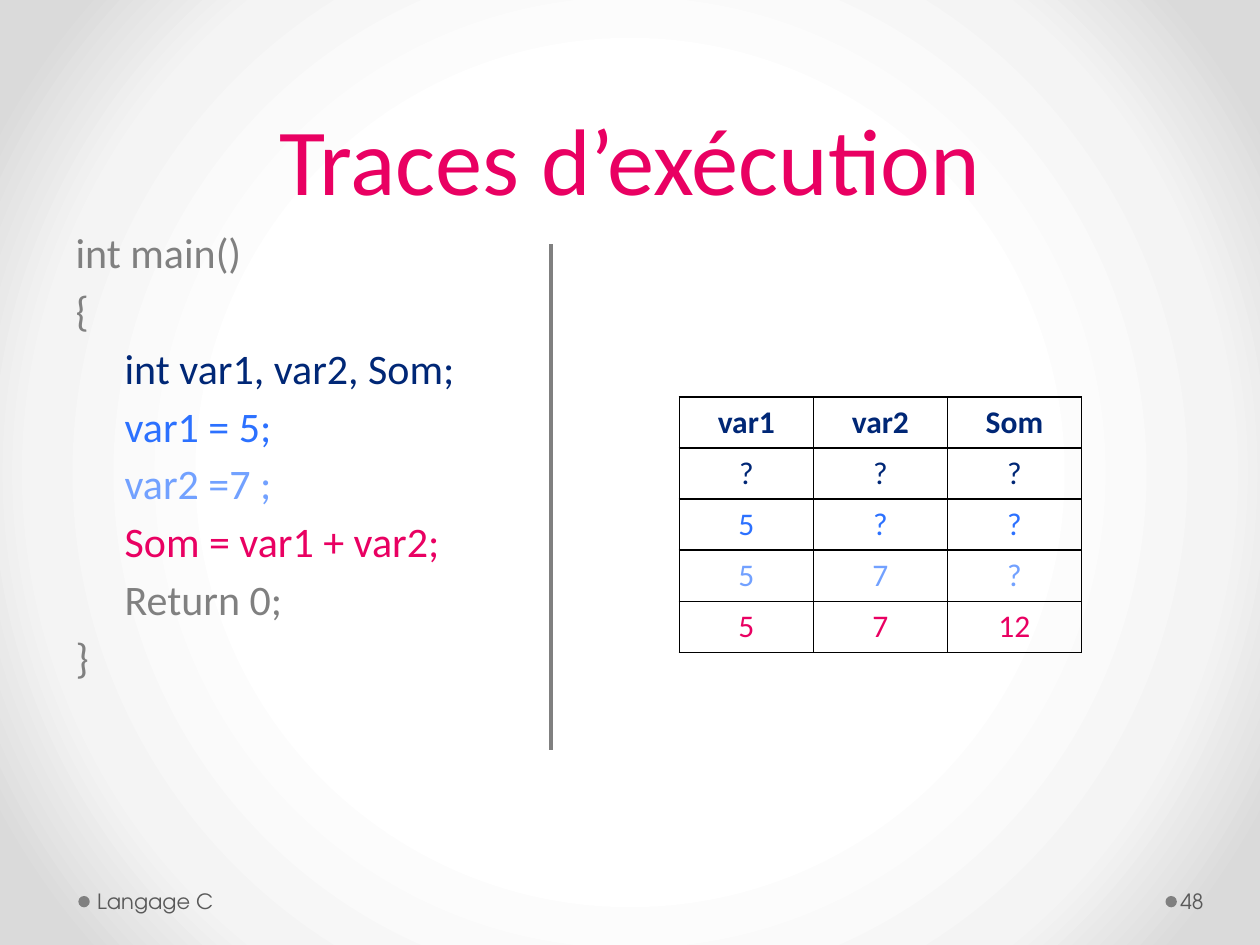
from pptx import Presentation
from pptx.dml.color import RGBColor
from pptx.enum.shapes import MSO_CONNECTOR, MSO_SHAPE
from pptx.enum.text import MSO_ANCHOR, PP_ALIGN
from pptx.oxml.ns import qn
from pptx.oxml.xmlchemy import OxmlElement
from pptx.util import Pt

PINK = RGBColor(0xE9, 0x00, 0x62)
NAVY = RGBColor(0x00, 0x27, 0x76)
BLUE = RGBColor(0x2C, 0x71, 0xFF)
SKY = RGBColor(0x72, 0xA1, 0xFF)
GRAY = RGBColor(0x80, 0x80, 0x80)
DARK = RGBColor(0x59, 0x59, 0x59)
GLOW = [(50, "FFFFFF"), (76, "F4F4F4"), (92, "DADADA")]
OVAL = MSO_SHAPE.OVAL
LINE = MSO_CONNECTOR.STRAIGHT
CENTER = PP_ALIGN.CENTER
MIDDLE = MSO_ANCHOR.MIDDLE
BOTTOM = MSO_ANCHOR.BOTTOM

CODE = [
    ("int main()", GRAY, 0),
    ("{", GRAY, 0),
    ("int var1, var2, Som;", NAVY, 28),
    ("var1 = 5;", BLUE, 28),
    ("var2 =7 ;", SKY, 28),
    ("Som = var1 + var2;", PINK, 28),
    ("Return 0;", GRAY, 28),
    ("}", GRAY, 0),
]
TRACE = [
    (("var1", "var2", "Som"), NAVY),
    (("?", "?", "?"), NAVY),
    (("5", "?", "?"), BLUE),
    (("5", "7", "?"), SKY),
    (("5", "7", "12"), PINK),
]


def add(parent, tag, **attrs):
    node = OxmlElement(tag)
    for key, value in attrs.items():
        node.set(key, str(value))
    parent.append(node)
    return node


class Deck:
    font = "Calibri"
    foot = "TeX Gyre Adventor"

    def __init__(self, slide):
        self.slide = slide
        self.shapes = slide.shapes

    def style(self, para, size, color, font=None, bold=False):
        for run in para.runs:
            run.font.name = font or self.font
            run.font.size = Pt(size)
            run.font.bold = bold
            run.font.color.rgb = color

    def place(self, shape, x, y, w, h):
        shape.left, shape.top, shape.width, shape.height = map(Pt, (x, y, w, h))

    def glow(self, stops):
        self.slide.background.fill.gradient()
        grad = self.slide.element.find(".//" + qn("a:gradFill"))
        for child in list(grad):
            grad.remove(child)
        group = add(grad, "a:gsLst")
        for pos, color in stops:
            stop = add(group, "a:gs", pos=pos * 1000)
            add(stop, "a:srgbClr", val=color)
        shade = add(grad, "a:path", path="circle")
        add(shade, "a:fillToRect", l=50000, t=50000, r=50000, b=50000)

    def title(self, text, *box):
        shape = self.shapes.title
        self.place(shape, *box)
        frame = shape.text_frame
        frame.text = text
        frame.vertical_anchor = BOTTOM
        para = frame.paragraphs[0]
        para.alignment = CENTER
        para.line_spacing = Pt(58)
        self.style(para, 54, PINK)

    def code(self, lines, *box):
        shape = self.slide.placeholders[1]
        self.place(shape, *box)
        frame = shape.text_frame
        frame.text = "\n".join(text for text, _, _ in lines)
        for para, (_, color, indent) in zip(frame.paragraphs, lines):
            para.space_before = Pt(4.2)
            props = para._p.get_or_add_pPr()
            props.set("marL", str(Pt(indent)))
            props.set("indent", "0")
            add(props, "a:buNone")
            self.style(para, 24, color)

    def dot(self, x, y):
        shape = self.shapes.add_shape(OVAL, Pt(x), Pt(y), Pt(6.5), Pt(6.5))
        shape.shadow.inherit = False
        shape.fill.solid()
        shape.fill.fore_color.rgb = GRAY
        shape.line.fill.background()

    def note(self, text, x, y, w, h, left, right):
        frame = self.shapes.add_textbox(Pt(x), Pt(y), Pt(w), Pt(h)).text_frame
        frame.word_wrap = True
        frame.vertical_anchor = MIDDLE
        frame.margin_left, frame.margin_right = Pt(left), Pt(right)
        frame.text = text
        self.style(frame.paragraphs[0], 12, DARK, self.foot)

    def rule(self, x, top, end):
        line = self.shapes.add_connector(LINE, Pt(x), Pt(top), Pt(x), Pt(end))
        line.line.color.rgb = GRAY
        line.line.width = Pt(2.25)
        add(line._element.spPr, "a:effectLst")

    def border(self, cell):
        props = cell._tc.get_or_add_tcPr()
        for side in ("a:lnL", "a:lnR", "a:lnT", "a:lnB"):
            edge = add(props, side, w=Pt(1))
            add(add(edge, "a:solidFill"), "a:srgbClr", val="000000")

    def table(self, rows, x, y, w, h):
        size = len(rows), len(rows[0][0])
        table = self.shapes.add_table(*size, Pt(x), Pt(y), Pt(w), Pt(h)).table
        table.horz_banding = False
        for r, (texts, color) in enumerate(rows):
            for c, text in enumerate(texts):
                cell = table.cell(r, c)
                cell.text = text
                para = cell.text_frame.paragraphs[0]
                para.alignment = CENTER
                self.style(para, 18, color, bold=r == 0)
                self.border(cell)
                cell.fill.background()


def main():
    prs = Presentation()
    prs.slide_width, prs.slide_height = Pt(720), Pt(540)
    deck = Deck(prs.slides.add_slide(prs.slide_layouts[1]))
    deck.glow(GLOW)
    for x in (666, 44.8):
        deck.dot(x, 512)
    deck.title("Traces d’exécution", 36, 49, 648, 77)
    deck.code(CODE, 36, 126, 648, 356)
    deck.note("Langage C", 52, 500.5, 224, 28.8, 3.6, 7.2)
    deck.note("48", 672.5, 500.5, 44, 28.8, 2, 3.6)
    deck.rule(314.8, 139.5, 428.5)
    deck.table(TRACE, 388.2, 226.8, 229.8, 146)
    prs.save("out.pptx")


if __name__ == "__main__":
    main()
